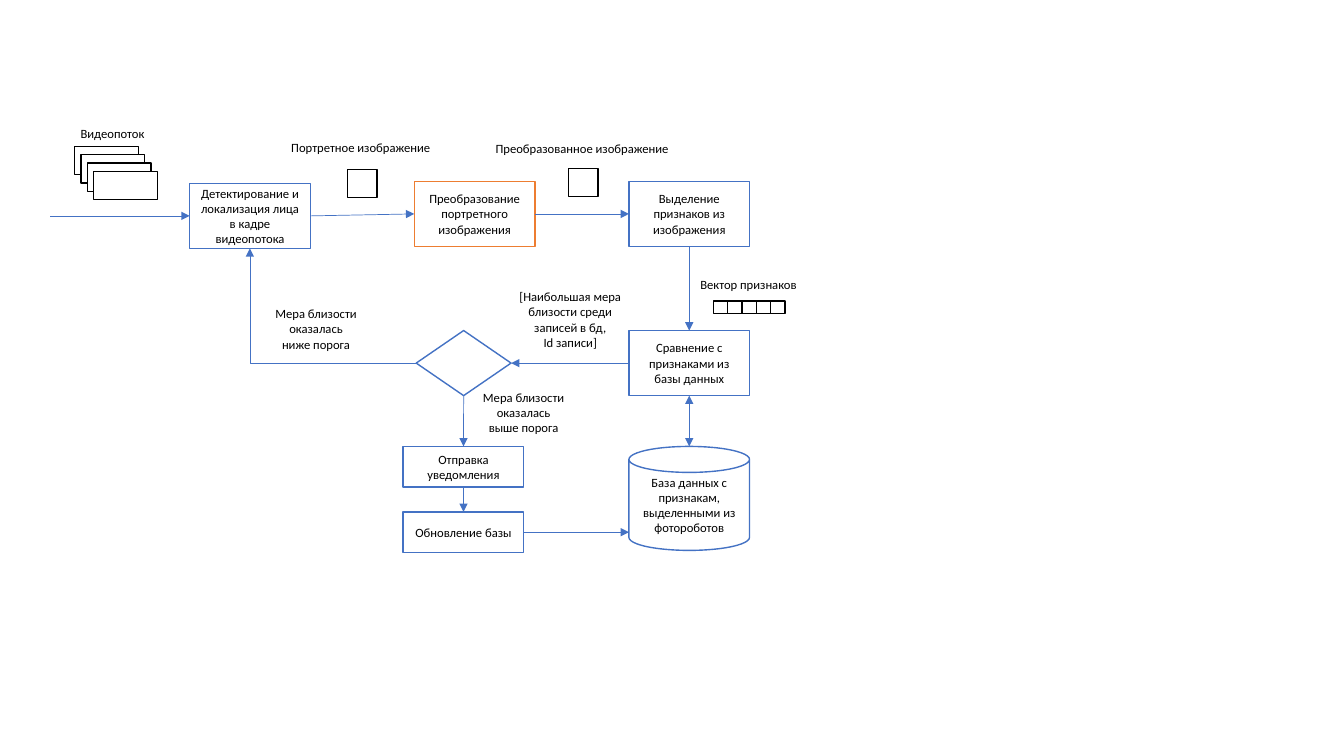
"""Build the face-recognition pipeline flowchart slide."""
from lxml import etree
from pptx import Presentation
from pptx.dml.color import RGBColor
from pptx.enum.shapes import MSO_CONNECTOR as CONN, MSO_SHAPE as SHAPE
from pptx.enum.text import MSO_ANCHOR as ANCHOR, MSO_AUTO_SIZE as AUTO, PP_ALIGN as ALIGN
from pptx.oxml.ns import qn
from pptx.util import Cm, Pt

BLUE, ORANGE, BLACK, WHITE = "4472C4", "ED7D31", "000000", "FFFFFF"
TOP, LEFT, BOTTOM, RIGHT = range(4)
BOX_W, BOX_H, STEP_H = 3.04, 1.64, 1.02
COL_3, ROW_1, ROW_2, ROW_3 = 15.85, 4.57, 8.33, 11.25

NODES = {
    "detect": (SHAPE.RECTANGLE, 4.78, 4.62, BOX_W, BOX_H, BLUE,
               "Детектирование и локализация лица в кадре видеопотока"),
    "transform": (SHAPE.RECTANGLE, 10.44, ROW_1, BOX_W, BOX_H, ORANGE,
                  "Преобразование портретного изображения"),
    "extract": (SHAPE.RECTANGLE, COL_3, ROW_1, BOX_W, BOX_H, BLUE,
                "Выделение признаков из изображения"),
    "compare": (SHAPE.RECTANGLE, COL_3, ROW_2, BOX_W, BOX_H, BLUE,
                "Сравнение с признаками из базы данных"),
    "database": (SHAPE.CAN, COL_3, ROW_3, BOX_W, 2.62, BLUE,
                 "База данных с признакам, выделенными из фотороботов"),
    "decision": (SHAPE.DIAMOND, 10.49, ROW_2, 2.39, BOX_H, BLUE, ""),
    "notify": (SHAPE.RECTANGLE, 10.16, ROW_3, BOX_W, STEP_H, BLUE, "Отправка уведомления"),
    "update": (SHAPE.RECTANGLE, 10.16, 12.9, BOX_W, STEP_H, BLUE, "Обновление базы"),
}
ARROWS = [
    ((1.27, 5.44), ("detect", LEFT)),
    (("detect", RIGHT), ("transform", LEFT)),
    (("transform", RIGHT), ("extract", LEFT)),
    (("extract", BOTTOM), ("compare", TOP)),
    (("compare", LEFT), ("decision", RIGHT)),
    (("decision", BOTTOM), ("notify", TOP)),
    (("notify", BOTTOM), ("update", TOP)),
    (("update", RIGHT), (COL_3, 13.41)),
    (("compare", BOTTOM), (COL_3 + BOX_W / 2, ROW_3)),
    (("decision", LEFT), ("detect", BOTTOM)),
]
TWO_WAY, BENT = ARROWS[-2:]
LABELS = [
    (1.78, 3.05, 2.13, 0.64, ALIGN.LEFT, ["Видеопоток"]),
    (7.09, 3.4, 4.06, 0.64, ALIGN.LEFT, ["Портретное изображение"]),
    (12.24, 3.43, 4.9, 0.64, ALIGN.LEFT, ["Преобразованное изображение"]),
    (17.4, 6.86, 2.95, 0.64, ALIGN.LEFT, ["Вектор признаков"]),
    (12.78, 7.16, 3.18, 1.8, ALIGN.CENTER,
     ["[Наибольшая мера", "близости среди", "записей в бд,", "Id записи]"]),
    (6.63, 7.59, 2.67, 1.42, ALIGN.CENTER, ["Мера близости", "оказалась", "ниже порога"]),
    (11.86, 9.7, 2.67, 1.42, ALIGN.CENTER, ["Мера близости", "оказалась", "выше порога"]),
]
VIDEO_FRAMES = [(1.88 + 0.16 * i, 3.69 + 0.21 * i, 1.61, 0.71) for i in range(4)]
VECTOR_CELLS = [(17.98 + 0.36 * i, 7.59, 0.36, 0.31) for i in range(5)]
IMAGES = [(8.76, 4.27, 0.74, 0.71), (14.33, 4.25, 0.74, 0.71)]


def rgb(color):
    return RGBColor.from_string(color)


def add_box(shapes, kind, x, y, w, h, color):
    sp = shapes.add_shape(kind, Cm(x), Cm(y), Cm(w), Cm(h))
    sp.shadow.inherit = False
    sp.fill.solid()
    sp.fill.fore_color.rgb = rgb(WHITE)
    sp.line.color.rgb = rgb(color)
    sp.line.width = Pt(1)
    return sp


def write(tf, lines, align):
    tf.text = "\n".join(lines)
    for p in tf.paragraphs:
        p.alignment = align
        for r in p.runs:
            r.font.name, r.font.size = "Calibri", Pt(9)
            r.font.color.rgb = rgb(BLACK)


def add_arrow(shapes, nodes, arrow):
    (a, b), (c, d) = arrow
    cxn = shapes.add_connector(CONN.ELBOW if arrow is BENT else CONN.STRAIGHT, 0, 0, 0, 0)
    if a in nodes:
        cxn.begin_connect(nodes[a], b)
    else:
        cxn.begin_x, cxn.begin_y = Cm(a), Cm(b)
    if c in nodes:
        cxn.end_connect(nodes[c], d)
    else:
        cxn.end_x, cxn.end_y = Cm(c), Cm(d)
    cxn.line.color.rgb = rgb(BLUE)
    cxn.line.width = Pt(0.5)
    props = cxn._element.spPr
    if arrow is BENT:
        props.find(qn("a:prstGeom")).set("prst", "bentConnector2")
    ln = props.find(qn("a:ln"))
    for end in ("a:headEnd", "a:tailEnd") if arrow is TWO_WAY else ("a:tailEnd",):
        etree.SubElement(ln, qn(end)).set("type", "triangle")
    etree.SubElement(props, qn("a:effectLst"))


prs = Presentation()
prs.slide_width, prs.slide_height = Cm(33.87), Cm(19.05)
s = prs.slides.add_slide(prs.slide_layouts[6])

for cells in (VIDEO_FRAMES, VECTOR_CELLS):
    group = s.shapes.add_group_shape()
    for cell in cells:
        add_box(group.shapes, SHAPE.RECTANGLE, *cell, BLACK)
for image in IMAGES:
    add_box(s.shapes, SHAPE.RECTANGLE, *image, BLACK)

nodes = {}
for name, (*frame, text) in NODES.items():
    nodes[name] = sp = add_box(s.shapes, *frame)
    sp.text_frame.vertical_anchor = ANCHOR.MIDDLE
    if text:
        write(sp.text_frame, [text], ALIGN.CENTER)

for arrow in ARROWS:
    add_arrow(s.shapes, nodes, arrow)

for x, y, w, h, align, lines in LABELS:
    tf = s.shapes.add_textbox(Cm(x), Cm(y), Cm(w), Cm(h)).text_frame
    tf.word_wrap = False
    tf.auto_size = AUTO.SHAPE_TO_FIT_TEXT
    write(tf, lines, align)

prs.save("out.pptx")
